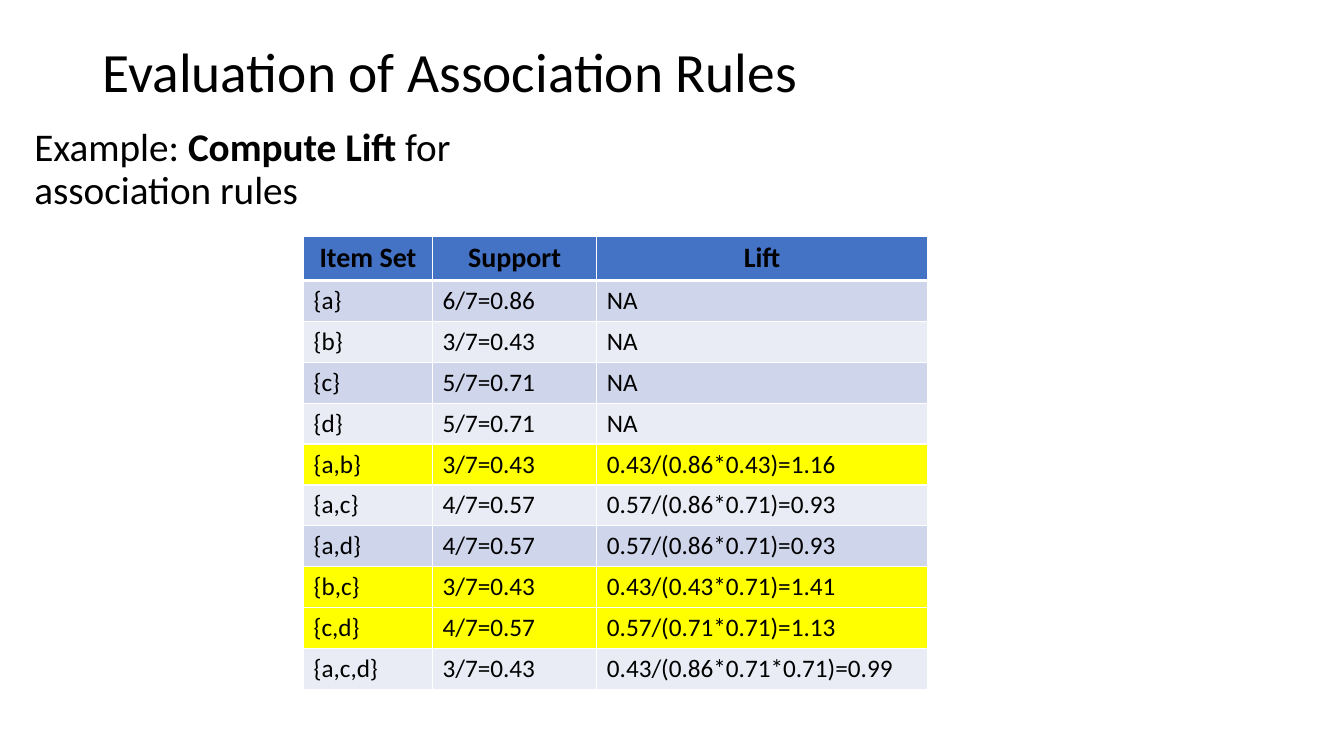
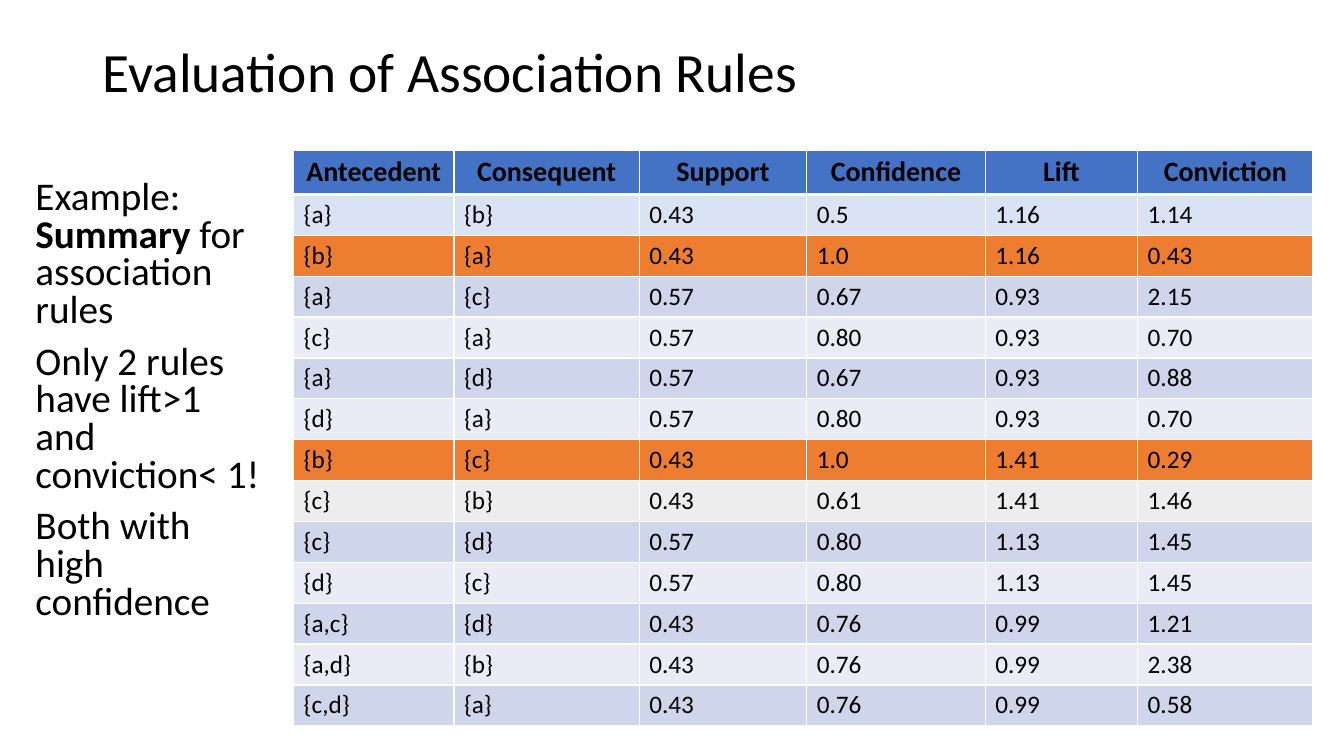
from dataclasses import dataclass

from lxml.etree import SubElement
from pptx import Presentation
from pptx.dml.color import RGBColor
from pptx.enum.text import MSO_ANCHOR, MSO_AUTO_SIZE, PP_ALIGN
from pptx.oxml.ns import qn
from pptx.util import Cm, Pt


@dataclass(frozen=True)
class Theme:
    font: str = "Calibri"
    title_size: float = 39.6
    body_size: float = 28
    header_size: float = 20
    cell_size: float = 18
    text: str = "000000"
    header: str = "4472C4"
    bands: tuple = ("CFD5EA", "E9EBF5")
    yellow: str = "FFFF00"
    orange: str = "ED7D31"
    pale_blue: str = "DAE3F3"
    pale_grey: str = "EDEDED"
    border: str = "FFFFFF"
    thin_line: float = 1
    thick_line: float = 3


THEME = Theme()
TITLE = "Evaluation of Association Rules"
TITLE_BOX = (2.33, 1.02, 29.21, 1.73)
HEADER_HEIGHT = 1.11
ROW_HEIGHT = 1.03

# Paragraphs are lists of (text, bold); boxes are left, top, width, height in cm.
# Row fills replace the banding, by row number below the header.
SLIDES = [
    {
        "body": [[("Example: ", False), ("Compute Lift ", True),
                  ("for association rules", False)]],
        "body_box": (0.61, 3.1, 11.13, 3.07),
        "line_spacing": 0.9,
        "table_corner": (7.65, 5.95),
        "column_widths": (3.25, 4.14, 8.33),
        "header": ("Item Set", "Support", "Lift"),
        "rows": [
            ("{a}", "6/7=0.86", "NA"),
            ("{b}", "3/7=0.43", "NA"),
            ("{c}", "5/7=0.71", "NA"),
            ("{d}", "5/7=0.71", "NA"),
            ("{a,b}", "3/7=0.43", "0.43/(0.86*0.43)=1.16"),
            ("{a,c}", "4/7=0.57", "0.57/(0.86*0.71)=0.93"),
            ("{a,d}", "4/7=0.57", "0.57/(0.86*0.71)=0.93"),
            ("{b,c}", "3/7=0.43", "0.43/(0.43*0.71)=1.41"),
            ("{c,d}", "4/7=0.57", "0.57/(0.71*0.71)=1.13"),
            ("{a,c,d}", "3/7=0.43", "0.43/(0.86*0.71*0.71)=0.99"),
        ],
        "row_fills": {5: THEME.yellow, 8: THEME.yellow, 9: THEME.yellow},
    },
    {
        "body": [
            [("Example: ", False), ("Summary ", True), ("for association rules", False)],
            [("Only 2 rules have lift>1 and conviction< 1!", False)],
            [("Both with high confidence", False)],
        ],
        "body_box": (0.64, 4.42, 6.32, 12.47),
        "line_spacing": 0.8,
        "table_corner": (7.4, 3.78),
        "column_widths": (4.04, 4.67, 4.22, 4.5, 3.84, 4.42),
        "header": ("Antecedent", "Consequent", "Support", "Confidence", "Lift", "Conviction"),
        "rows": [
            ("{a}", "{b}", "0.43", "0.5", "1.16", "1.14"),
            ("{b}", "{a}", "0.43", "1.0", "1.16", "0.43"),
            ("{a}", "{c}", "0.57", "0.67", "0.93", "2.15"),
            ("{c}", "{a}", "0.57", "0.80", "0.93", "0.70"),
            ("{a}", "{d}", "0.57", "0.67", "0.93", "0.88"),
            ("{d}", "{a}", "0.57", "0.80", "0.93", "0.70"),
            ("{b}", "{c}", "0.43", "1.0", "1.41", "0.29"),
            ("{c}", "{b}", "0.43", "0.61", "1.41", "1.46"),
            ("{c}", "{d}", "0.57", "0.80", "1.13", "1.45"),
            ("{d}", "{c}", "0.57", "0.80", "1.13", "1.45"),
            ("{a,c}", "{d}", "0.43", "0.76", "0.99", "1.21"),
            ("{a,d}", "{b}", "0.43", "0.76", "0.99", "2.38"),
            ("{c,d}", "{a}", "0.43", "0.76", "0.99", "0.58"),
        ],
        "row_fills": {1: THEME.pale_blue, 2: THEME.orange,
                      7: THEME.orange, 8: THEME.pale_grey},
    },
]


def place(shape, box):
    shape.left, shape.top, shape.width, shape.height = (Cm(length) for length in box)


def write(text_frame, paragraphs, *, size, align=PP_ALIGN.LEFT, line_spacing=1.0,
          space_before=0, anchor=MSO_ANCHOR.TOP):
    """Fill a text frame with paragraphs, each a list of (text, bold) runs."""
    text_frame.word_wrap = True
    text_frame.vertical_anchor = anchor
    for index, runs in enumerate(paragraphs):
        paragraph = text_frame.add_paragraph() if index else text_frame.paragraphs[0]
        paragraph.alignment = align
        paragraph.line_spacing = line_spacing
        paragraph.space_before = Pt(space_before)
        for text, bold in runs:
            run = paragraph.add_run()
            run.text = text
            run.font.name = THEME.font
            run.font.size = Pt(size)
            run.font.bold = bold
            run.font.color.rgb = RGBColor.from_string(THEME.text)


def remove_bullets(text_frame):
    for paragraph in text_frame.paragraphs:
        properties = paragraph._p.get_or_add_pPr()
        properties.set("marL", "0")
        properties.set("indent", "0")
        SubElement(properties, qn("a:buNone"))


def set_borders(cell, top, bottom):
    """Draw the four cell borders; top and bottom are widths in points."""
    properties = cell._tc.get_or_add_tcPr()
    widths = {"L": THEME.thin_line, "R": THEME.thin_line, "T": top, "B": bottom}
    for side, width in widths.items():
        line = SubElement(properties, qn(f"a:ln{side}"), w=str(Pt(width)))
        fill = SubElement(line, qn("a:solidFill"))
        SubElement(fill, qn("a:srgbClr"), val=THEME.border)


def add_rules_table(slide, content):
    rows = [content["header"], *content["rows"]]
    widths = content["column_widths"]
    heights = [HEADER_HEIGHT] + [ROW_HEIGHT] * len(content["rows"])
    left, top = content["table_corner"]
    table = slide.shapes.add_table(len(rows), len(widths), Cm(left), Cm(top),
                                   Cm(sum(widths)), Cm(sum(heights))).table
    for column, width in zip(table.columns, widths):
        column.width = Cm(width)
    for row, height in zip(table.rows, heights):
        row.height = Cm(height)

    for number, values in enumerate(rows):
        is_header = number == 0
        band = THEME.header if is_header else THEME.bands[(number - 1) % 2]
        color = content["row_fills"].get(number, band)
        for index, value in enumerate(values):
            cell = table.cell(number, index)
            write(cell.text_frame, [[(value, is_header)]],
                  size=THEME.header_size if is_header else THEME.cell_size,
                  align=PP_ALIGN.CENTER if is_header else PP_ALIGN.LEFT)
            set_borders(cell,
                        top=THEME.thick_line if number == 1 else THEME.thin_line,
                        bottom=THEME.thick_line if is_header else THEME.thin_line)
            cell.fill.solid()
            cell.fill.fore_color.rgb = RGBColor.from_string(color)


def add_rules_slide(presentation, layout, content):
    slide = presentation.slides.add_slide(layout)
    title, body = slide.shapes.title, slide.placeholders[1]
    write(title.text_frame, [[(TITLE, False)]], size=THEME.title_size,
          line_spacing=0.9, anchor=MSO_ANCHOR.MIDDLE)
    place(body, content["body_box"])
    write(body.text_frame, content["body"], size=THEME.body_size,
          line_spacing=content["line_spacing"], space_before=10)
    remove_bullets(body.text_frame)
    for placeholder in (title, body):
        placeholder.text_frame.auto_size = MSO_AUTO_SIZE.NONE
    add_rules_table(slide, content)


def main():
    presentation = Presentation()
    presentation.slide_width, presentation.slide_height = Cm(33.87), Cm(19.05)
    layout = presentation.slide_layouts.get_by_name("Title and Content")
    place(layout.placeholders[0], TITLE_BOX)
    for content in SLIDES:
        add_rules_slide(presentation, layout, content)
    presentation.save("out.pptx")


if __name__ == "__main__":
    main()
